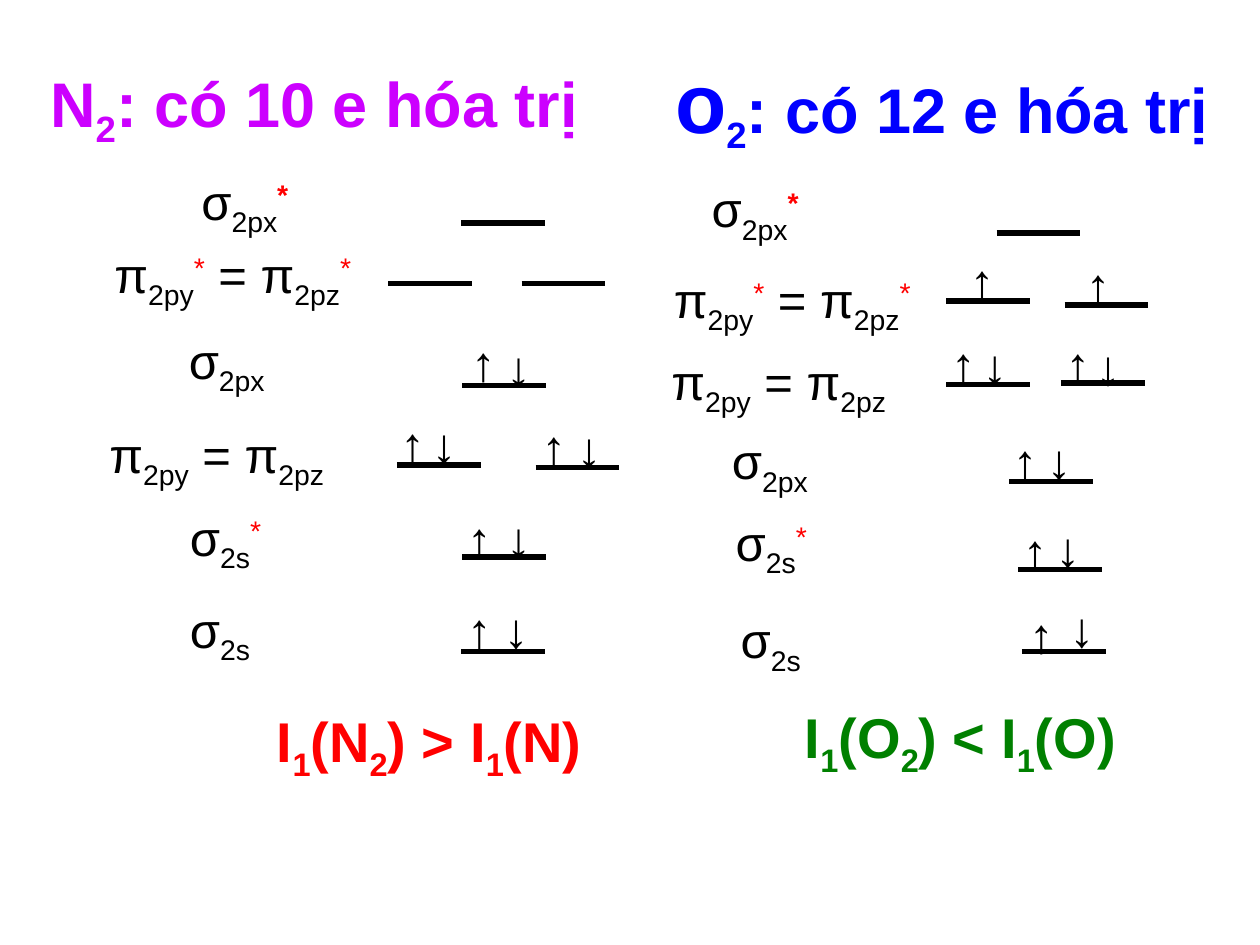
from lxml import etree
from pptx import Presentation
from pptx.dml.color import RGBColor
from pptx.enum.shapes import MSO_CONNECTOR
from pptx.enum.text import MSO_AUTO_SIZE
from pptx.oxml.ns import qn
from pptx.util import Inches, Pt

STRAIGHT = MSO_CONNECTOR.STRAIGHT
GROW = MSO_AUTO_SIZE.SHAPE_TO_FIT_TEXT

COLORS = {"black": "000000", "red": "FF0000", "violet": "CC00FF",
          "blue": "0000FF", "green": "008000"}
FONT = "Arial"
CELL = Inches(0.1)  # the slide is a grid of 100 columns by 75 rows
LEVEL_WIDTH = 6.65
UP, DOWN = "↑", "↓"
# Prefix of a span: baseline, colour, bold
SCRIPTS = {"_": (-25000, None, None), "^": (30000, "red", None),
           "!": (30000, "red", True)}

SIGMA_SIZE, PI_SIZE, PI_STAR_SIZE = (11.7, 6.3), (23.3, 11.6), (23.3, 11)
SIGMA_S, SIGMA_S_STAR = ("σ|_2s", SIGMA_SIZE), ("σ|_2s|^*", SIGMA_SIZE)
SIGMA_P, SIGMA_P_STAR = ("σ|_2px", SIGMA_SIZE), ("σ|_2px|!*", SIGMA_SIZE)
PI = ("π|_2py| = π|_2pz", PI_SIZE)
PI_STAR = ("π|_2py|^*| = π|_2pz|^*", PI_STAR_SIZE)

# Orbital name, column, row
ORBITALS = [
    (SIGMA_P_STAR, 15, 13.1), (PI_STAR, 8.1, 18.9), (SIGMA_P, 14, 25.7),
    (PI, 7.7, 33.2), (SIGMA_S_STAR, 14.1, 39.8), (SIGMA_S, 14.1, 47.1),
    (SIGMA_P_STAR, 55.5, 13.7), (PI_STAR, 52.5, 20.9), (PI, 52.3, 27.4),
    (SIGMA_P, 57.1, 33.7), (SIGMA_S_STAR, 57.4, 40.2), (SIGMA_S, 57.8, 47.9),
]

# Column and row of each level, then its electrons: spin, column, row
LEVELS = [
    # N2
    (36.6, 17.7, []),
    (30.8, 22.5, []),
    (41.4, 22.5, []),
    (36.7, 30.6, [(UP, 36.4, 25.9), (DOWN, 39.2, 26.3)]),
    (31.5, 36.9, [(UP, 30.8, 32.3), (DOWN, 33.3, 32.4)]),
    (42.5, 37.1, [(UP, 42, 32.6), (DOWN, 44.8, 32.7)]),
    (36.7, 44.2, [(UP, 36.1, 39.9), (DOWN, 39.2, 39.9)]),
    (36.6, 51.7, [(UP, 36.1, 47.1), (DOWN, 39, 47.1)]),
    # O2
    (79.1, 18.5, []),
    (75.1, 23.9, [(UP, 76, 19.4)]),
    (84.5, 24.2, [(UP, 85.2, 19.7)]),
    (75.1, 30.5, [(UP, 74.5, 26), (DOWN, 77, 26.1)]),
    (84.2, 30.4, [(UP, 83.6, 26), (DOWN, 86, 26.2)]),
    (80.1, 38.2, [(UP, 79.4, 33.7), (DOWN, 82.1, 33.7)]),
    (80.8, 45.2, [(UP, 80.2, 40.8), (DOWN, 82.8, 40.7)]),
    (81.1, 51.7, [(UP, 80.7, 47.5), (DOWN, 83.9, 47)]),
]


def cells(*counts):
    return [round(count * CELL) for count in counts]


def color(name):
    return RGBColor.from_string(COLORS[name])


def add_formula(page, markup, place, size=28, ink="black", bold=False):
    """Write spans parted by "|"; a prefix from SCRIPTS lowers or raises one."""
    box = page.shapes.add_textbox(*cells(*place))
    frame = box.text_frame
    frame.word_wrap = True
    frame.auto_size = GROW
    para = frame.paragraphs[0]
    para.font.name = FONT
    para.font.size = Pt(size)
    para.font.bold = bold
    para.font.color.rgb = color(ink)
    for piece in markup.split("|"):
        span = para.add_run()
        if piece[0] not in SCRIPTS:
            span.text = piece
            continue
        span.text = piece[1:]
        baseline, script_ink, script_bold = SCRIPTS[piece[0]]
        span.font.bold = script_bold
        if script_ink:
            span.font.color.rgb = color(script_ink)
        span._r.get_or_add_rPr().set("baseline", str(baseline))
    return para


def add_level(page, column, row):
    level = page.shapes.add_connector(
        STRAIGHT, *cells(column, row, column + LEVEL_WIDTH, row))
    level.line.color.rgb = color("black")
    level.line.width = Pt(3)
    etree.SubElement(level._element.spPr, qn("a:effectLst"))


def add_electron(page, spin, column, row):
    add_formula(page, spin, (column, row, 6.7, 5.7), bold=True)


def add_headings(page):
    add_formula(page, "N|_2|: có 10 e hóa trị", (3, 4.6, 45.1, 7.9),
                36, "violet", True)
    oxygen = add_formula(page, "o|_2|: có 12 e hóa trị",
                         (52.6, 3.4, 45.1, 9.5), 36, "blue", True)
    oxygen.runs[0].font.size = Pt(48)


def add_conclusions(page):
    for atom, sign, column, row, ink in [("N", ">", 21, 55.6, "red"),
                                         ("O", "<", 62.9, 55.3, "green")]:
        add_formula(page, f"I|_1|({atom}|_2|) {sign} I|_1|({atom})",
                    (column, row, 40.3, 7.1), 32, ink, True)


def main():
    deck = Presentation()
    deck.slide_width, deck.slide_height = cells(100, 75)
    page = deck.slides.add_slide(deck.slide_layouts[6])
    add_headings(page)
    for (name, size), column, row in ORBITALS:
        add_formula(page, name, (column, row, *size))
    for column, row, electrons in LEVELS:
        add_level(page, column, row)
        for electron in electrons:
            add_electron(page, *electron)
    add_conclusions(page)
    deck.save("out.pptx")


if __name__ == "__main__":
    main()
